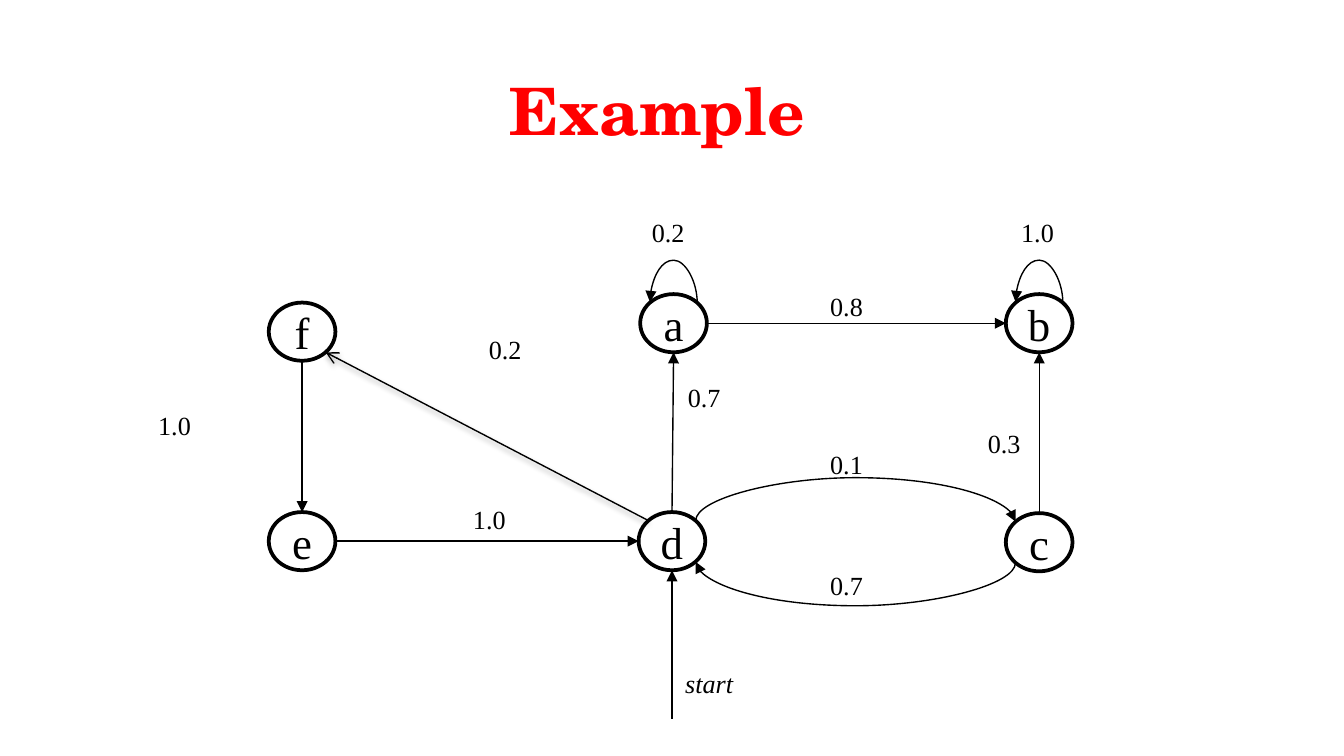
from lxml.etree import SubElement
from pptx import Presentation
from pptx.dml.color import RGBColor
from pptx.enum.shapes import MSO_CONNECTOR as LINK, MSO_SHAPE as SHAPE
from pptx.enum.text import MSO_ANCHOR as ANCHOR, PP_ALIGN as ALIGN
from pptx.oxml.ns import qn
from pptx.util import Cm, Pt

COLORS = {"ink": "000000", "title": "FF0000"}
TITLE_FONT, BODY_FONT = "TeX Gyre Schola", "Times New Roman"

# State centres, in cm
STATES = {
    "f": (5.71, 6.27), "a": (12.73, 6.11), "b": (19.64, 6.11),
    "e": (5.71, 10.23), "d": (12.7, 10.23), "c": (19.64, 10.25),
}
STATE_W, STATE_H = 1.26, 1.1
DIAGONAL = 0.71
PORTS = {
    "n": (0, -1), "s": (0, 1), "e": (1, 0), "w": (-1, 0),
    "nw": (-DIAGONAL, -DIAGONAL), "ne": (DIAGONAL, -DIAGONAL),
    "sw": (-DIAGONAL, DIAGONAL), "se": (DIAGONAL, DIAGONAL),
}
ARC_DEPTH, ARC_BASE = 0.81, 0.02

# Probability text, left, top in cm
PROBABILITIES = [
    ("1.0", 8.69, 9.4), ("1.0", 2.74, 7.62), ("0.2", 8.99, 6.17),
    ("0.2", 12.07, 3.96), ("0.8", 15.44, 5.36), ("1.0", 19.05, 3.96),
    ("0.3", 18.42, 7.95), ("0.7", 12.75, 7.09), ("0.1", 15.44, 8.36),
    ("0.7", 15.44, 10.64),
]
# Start state and port, end state and port
STRAIGHT = [("f", "s", "e", "n"), ("d", "n", "a", "s"),
            ("c", "n", "b", "s"), ("a", "e", "b", "w")]
# The same, then rotation and flip of the curve
ARCS = [("d", "ne", "c", "nw", 270, "flipH"),
        ("c", "sw", "d", "se", 90, "flipH"),
        ("a", "ne", "a", "nw", 270, "flipV"),
        ("b", "ne", "b", "nw", 270, "flipV")]


def rgb(key):
    return RGBColor.from_string(COLORS[key])


def port(state, side):
    (x, y), (dx, dy) = STATES[state], PORTS[side]
    return x + dx * STATE_W / 2, y + dy * STATE_H / 2


def write(frame, text, size, font=BODY_FONT, color="ink", align=None,
          bold=None, italic=None):
    paragraph = frame.paragraphs[0]
    paragraph.text = text
    paragraph.alignment = align
    style = paragraph.font
    style.size, style.name = Pt(size), font
    style.bold, style.italic = bold, italic
    style.color.rgb = rgb(color)


def add_label(slide, text, left, top, width=1.47, height=0.86, size=14, **style):
    frame = slide.shapes.add_textbox(Cm(left), Cm(top), Cm(width), Cm(height)).text_frame
    frame.word_wrap = True
    write(frame, text, size, **style)
    return frame


def add_state(slide, name, center):
    x, y = center
    state = slide.shapes.add_shape(SHAPE.OVAL, Cm(x - STATE_W / 2), Cm(y - STATE_H / 2),
                                   Cm(STATE_W), Cm(STATE_H))
    state.shadow.inherit = False
    state.fill.background()
    state.line.color.rgb = rgb("ink")
    state.line.width = Pt(2)
    frame = state.text_frame
    frame.word_wrap = False
    frame.vertical_anchor = ANCHOR.MIDDLE
    write(frame, name, 24, align=ALIGN.CENTER)


def add_arrow(slide, start, end, kind=LINK.STRAIGHT, head="triangle"):
    arrow = slide.shapes.add_connector(kind, *map(Cm, start + end))
    arrow.line.color.rgb = rgb("ink")
    arrow.line.width = Pt(0.75)
    properties = arrow._element.spPr
    SubElement(properties.find(qn("a:ln")), qn("a:tailEnd"), type=head)
    SubElement(properties, qn("a:effectLst"))
    return arrow


def add_soft_shadow(arrow):
    effects = arrow._element.spPr.find(qn("a:effectLst"))
    shadow = SubElement(effects, qn("a:outerShdw"), blurRad=str(Pt(3.1)),
                        dist=str(Pt(1.6)), dir="5400000", rotWithShape="0")
    color = SubElement(shadow, qn("a:srgbClr"), val=COLORS["ink"])
    SubElement(color, qn("a:alpha"), val="38000")


def add_arc(slide, start, end, rotation, flip):
    """Bow a level curve by turning a thin connector on its side."""
    arc = add_arrow(slide, start, end, LINK.CURVE)
    span = abs(end[0] - start[0])
    mid_x, mid_y = (start[0] + end[0]) / 2, (start[1] + end[1]) / 2
    arc.left, arc.top = Cm(mid_x - ARC_BASE / 2), Cm(mid_y - span / 2)
    arc.width, arc.height = Cm(ARC_BASE), Cm(span)
    frame = arc._element.spPr.find(qn("a:xfrm"))
    for side in ("flipH", "flipV"):
        frame.set(side, "1" if side == flip else "0")
    frame.set("rot", str(rotation * 60000))
    sign = -1 if flip == "flipH" else 1
    bend = round(sign * ARC_DEPTH / ARC_BASE * 100000)
    guides = arc._element.spPr.find(qn("a:prstGeom")).get_or_add_avLst()
    SubElement(guides, qn("a:gd"), name="adj1", fmla=f"val {bend}")


def main():
    deck = Presentation()
    deck.slide_width, deck.slide_height = Cm(25.4), Cm(14.29)
    slide = deck.slides.add_slide(deck.slide_layouts[6])

    # Title
    title = add_label(slide, "Example", 0.71, 1.09, 23.42, 1.96, 35, font=TITLE_FONT,
                      color="title", align=ALIGN.CENTER, bold=True)
    title.vertical_anchor = ANCHOR.MIDDLE

    # States and probabilities
    for name, center in STATES.items():
        add_state(slide, name, center)
    for probability in PROBABILITIES:
        add_label(slide, *probability)
    add_label(slide, "start", 12.7, 12.5, italic=True)

    # Transitions
    for source, leave, target, enter in STRAIGHT:
        add_arrow(slide, port(source, leave), port(target, enter))
    add_arrow(slide, port("e", "e"), port("d", "w"), LINK.CURVE)
    for source, leave, target, enter, rotation, flip in ARCS:
        add_arc(slide, port(source, leave), port(target, enter), rotation, flip)
    add_arrow(slide, (STATES["d"][0], 13.59), port("d", "s"))
    add_soft_shadow(add_arrow(slide, port("d", "nw"), port("f", "se"), head="arrow"))

    deck.save("out.pptx")


main()
